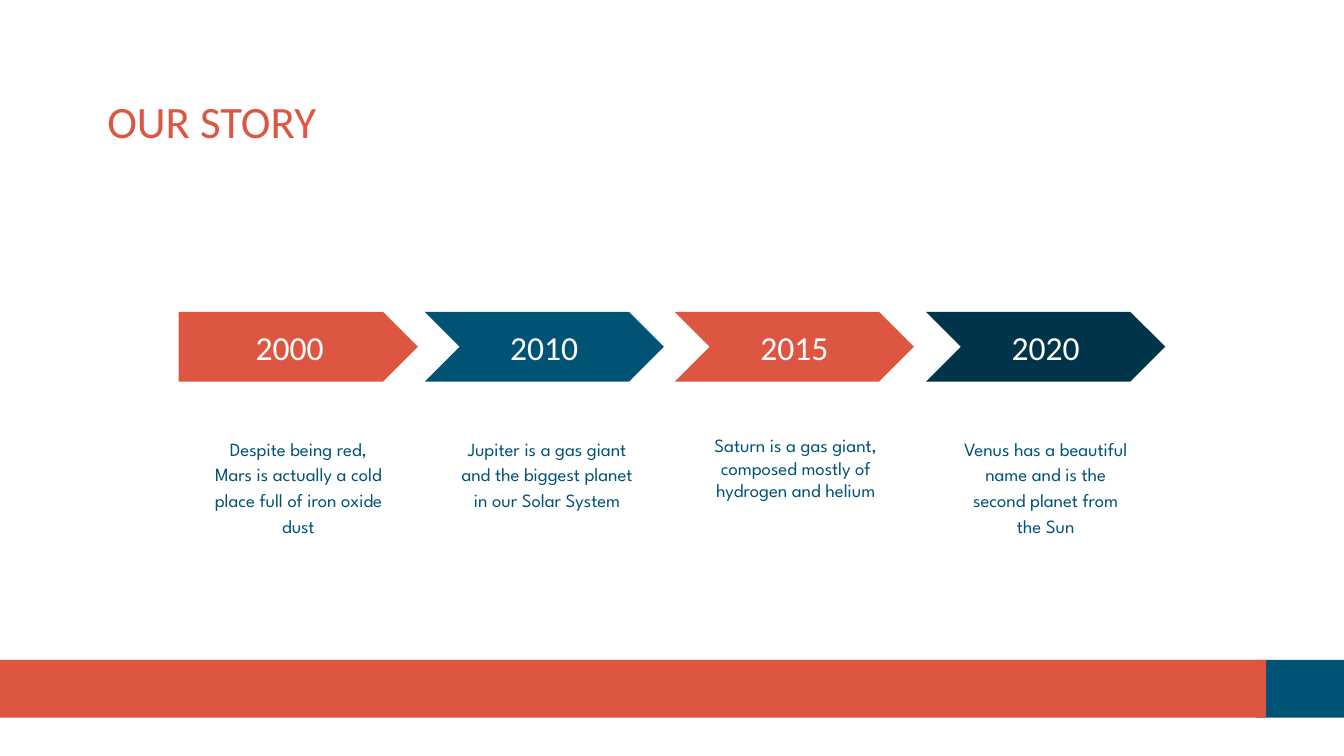
from pptx import Presentation
from pptx.dml.color import RGBColor
from pptx.enum.shapes import MSO_SHAPE
from pptx.enum.text import MSO_ANCHOR, PP_ALIGN
from pptx.util import Inches, Pt

RED = RGBColor(0xDC, 0x56, 0x41)
BLUE = RGBColor(0x00, 0x53, 0x75)
NAVY = RGBColor(0x00, 0x34, 0x4A)
WHITE = RGBColor(0xFF, 0xFF, 0xFF)

presentation = Presentation()
presentation.slide_width = Inches(10)
presentation.slide_height = Inches(10) * 9 // 16
slide = presentation.slides.add_slide(presentation.slide_layouts[6])


def add_filled_shape(kind, left, top, width, height, color):
    shape = slide.shapes.add_shape(kind, Inches(left), Inches(top), Inches(width), Inches(height))
    shape.shadow.inherit = False
    shape.fill.solid()
    shape.fill.fore_color.rgb = color
    shape.line.fill.background()
    return shape


def write_text(shape, text, font_name, size, color, alignment, anchor):
    frame = shape.text_frame
    frame.word_wrap = True
    frame.vertical_anchor = anchor
    frame.margin_left = frame.margin_right = Inches(0.1)
    frame.margin_top = frame.margin_bottom = Inches(0.1)
    paragraph = frame.paragraphs[0]
    paragraph.text = text
    paragraph.alignment = alignment
    paragraph.font.name = font_name
    paragraph.font.size = Pt(size)
    paragraph.font.color.rgb = color
    return paragraph


add_filled_shape(MSO_SHAPE.RECTANGLE, 9.35, 4.91, 0.65, 0.43, BLUE)
add_filled_shape(MSO_SHAPE.RECTANGLE, 0, 4.91, 9.42, 0.43, RED)

title = slide.shapes.add_textbox(Inches(0.7), Inches(0.68), Inches(8.82), Inches(0.43))
write_text(title, "OUR STORY", "Calibri", 24, RED, PP_ALIGN.LEFT, MSO_ANCHOR.MIDDLE)

milestones = [
    (1.33, 1.48, MSO_SHAPE.PENTAGON, RED, "2000", 1.15,
     "Despite being red, Mars is actually a cold place full of iron oxide dust"),
    (3.16, 3.33, MSO_SHAPE.CHEVRON, BLUE, "2010", 1.15,
     "Jupiter is a gas giant and the biggest planet in our Solar System"),
    (5.02, 5.18, MSO_SHAPE.CHEVRON, RED, "2015", 1.0,
     "Saturn is a gas giant, composed mostly of hydrogen and helium"),
    (6.89, 7.04, MSO_SHAPE.CHEVRON, NAVY, "2020", 1.15,
     "Venus has a beautiful name and is the second planet from the Sun"),
]
for arrow_left, caption_left, kind, color, year, line_spacing, description in milestones:
    arrow = add_filled_shape(kind, arrow_left, 2.32, 1.78, 0.52, color)
    arrow.adjustments[0] = 0.5
    write_text(arrow, year, "Calibri", 18, WHITE, PP_ALIGN.CENTER, MSO_ANCHOR.MIDDLE)

    caption = slide.shapes.add_textbox(Inches(caption_left), Inches(3.13), Inches(1.48), Inches(0.8))
    paragraph = write_text(caption, description, "League Spartan", 10, BLUE,
                           PP_ALIGN.CENTER, MSO_ANCHOR.TOP)
    paragraph.line_spacing = line_spacing

presentation.save("out.pptx")
